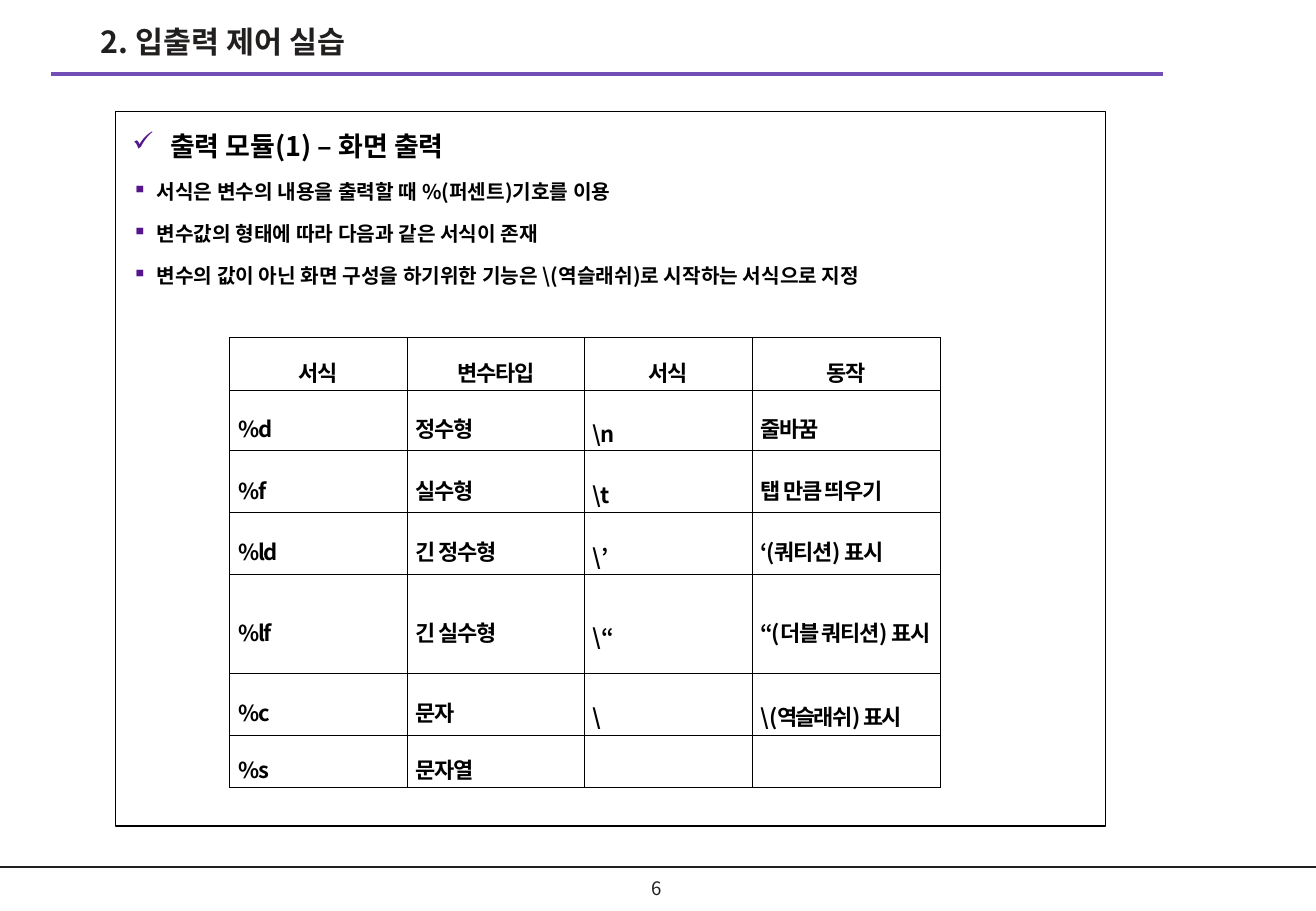
from dataclasses import dataclass

from lxml import etree
from pptx import Presentation
from pptx import util as u
from pptx.dml import color
from pptx.enum import shapes, text
from pptx.oxml import ns


@dataclass(frozen=True)
class Theme:
    """Colours, type face and type sizes of the slide."""
    face: str = "Noto Sans CJK KR"
    ink: str = "000000"
    dark: str = "221F1F"
    rule: str = "724FB7"
    mark: str = "54158D"
    title: int = 18
    head: int = 16
    body: int = 12
    cell: int = 13
    foot: int = 11


LOOK = Theme()
POINTS = [
    ("✓", "출력 모듈(1) – 화면 출력", LOOK.head, 0.31),
    ("▪", "서식은 변수의 내용을 출력할 때 %(퍼센트)기호를 이용", LOOK.body, 0.2),
    ("▪", "변수값의 형태에 따라 다음과 같은 서식이 존재", LOOK.body, 0.2),
    ("▪", "변수의 값이 아닌 화면 구성을 하기위한 기능은 \\(역슬래쉬)로 시작하는 서식으로 지정",
     LOOK.body, 0.2),
]
ROWS = [
    ("서식", "변수타입", "서식", "동작"),
    ("%d", "정수형", "\\n", "줄바꿈"),
    ("%f", "실수형", "\\t", "탭 만큼 띄우기"),
    ("%ld", "긴 정수형", "\\’", "‘(쿼티션) 표시"),
    ("%lf", "긴 실수형", "\\“", "“(더블 쿼티션) 표시"),
    ("%c", "문자", "\\", "\\(역슬래쉬) 표시"),
    ("%s", "문자열", "", ""),
]
WIDTHS = [1.46, 1.46, 1.38, 1.55]
HEIGHTS = [0.43, 0.5, 0.51, 0.51, 0.81, 0.51, 0.43]


def assign(item, values):
    """Set each named value on the item."""
    for name, value in values.items():
        setattr(item, name, value)


def margins(side, top):
    """Return the four margins as format values."""
    return {"margin_left": u.Inches(side), "margin_right": u.Inches(side),
            "margin_top": u.Inches(top), "margin_bottom": u.Inches(top)}


def node(parent, tag, **values):
    """Append a drawing element with the given attributes."""
    return etree.SubElement(parent, ns.qn("a:" + tag), values)


def tint(parent, shade):
    """Append a solid fill to an element."""
    node(node(parent, "solidFill"), "srgbClr", val=shade)


def write(para, words, size, shade, bold=True, track=None):
    """Add a formatted run to a paragraph."""
    run = para.add_run()
    run.text = words
    run.font.color.rgb = color.RGBColor.from_string(shade)
    assign(run.font, {"size": u.Pt(size), "bold": bold, "name": LOOK.face})
    props = run.font._element
    node(props, "ea", typeface=LOOK.face)
    if track is not None:
        props.set("spc", str(round(track * 100)))


def rule(slide, left, top, width, shade, weight):
    """Draw a level line across the slide."""
    line = slide.shapes.add_connector(
        shapes.MSO_CONNECTOR.STRAIGHT, u.Inches(left), u.Inches(top),
        u.Inches(left + width), u.Inches(top))
    line.line.color.rgb = color.RGBColor.from_string(shade)
    line.line.width = u.Pt(weight)
    node(line._element.spPr, "effectLst")


def header(slide, left, top, width):
    """Place the title and the rule below it."""
    rule(slide, left, top + 0.47, width, LOOK.rule, 2.25)
    title = slide.shapes.title
    assign(title, {"left": u.Inches(left + 0.31), "top": u.Inches(top),
                   "width": u.Inches(5.55), "height": u.Inches(0.48)})
    frame = title.text_frame
    assign(frame, {"vertical_anchor": text.MSO_ANCHOR.TOP, "word_wrap": True,
                   "auto_size": text.MSO_AUTO_SIZE.NONE, **margins(0.1, 0.05)})
    para = frame.paragraphs[0]
    para.alignment = text.PP_ALIGN.LEFT
    write(para, "2. 입출력 제어 실습", LOOK.title, LOOK.dark)


def footer(slide, top, width):
    """Place the bottom rule and the page number."""
    rule(slide, 0, top, width, LOOK.dark, 1)
    box = slide.shapes.add_textbox(
        u.Inches(5.1), u.Inches(top + 0.01), u.Inches(0.61), u.Inches(0.33))
    frame = box.text_frame
    assign(frame, {"vertical_anchor": text.MSO_ANCHOR.MIDDLE, "word_wrap": True})
    para = frame.paragraphs[0]
    para.alignment = text.PP_ALIGN.CENTER
    write(para, "6", LOOK.foot, LOOK.dark, bold=False)


def bullet(para, sign, indent):
    """Give a paragraph its spacing, indent and bullet sign."""
    assign(para, {"alignment": text.PP_ALIGN.LEFT, "line_spacing": 1.3})
    props = para._p.get_or_add_pPr()
    props.set("marL", str(u.Inches(indent)))
    props.set("indent", str(-u.Inches(indent)))
    node(node(props, "spcBef"), "spcPct", val="50000")
    node(node(props, "buClr"), "srgbClr", val=LOOK.mark)
    node(props, "buChar", char=sign)


def panel(slide, left, top, width, height):
    """Draw the framed list of points with the table inside."""
    box = slide.shapes.add_shape(
        shapes.MSO_SHAPE.RECTANGLE, u.Inches(left), u.Inches(top),
        u.Inches(width), u.Inches(height))
    box.shadow.inherit = False
    box.fill.background()
    box.line.color.rgb = color.RGBColor.from_string(LOOK.ink)
    box.line.width = u.Pt(0.75)
    frame = box.text_frame
    assign(frame, {"vertical_anchor": text.MSO_ANCHOR.TOP, "word_wrap": True,
                   **margins(0.14, 0.07)})
    for spot, (sign, words, size, indent) in enumerate(POINTS):
        para = frame.add_paragraph() if spot else frame.paragraphs[0]
        bullet(para, sign, indent)
        write(para, words, size, LOOK.ink)
    formats(slide, left + 0.94, top + 1.86)


def fill(cell, words, align):
    """Border a table cell and write its words."""
    assign(cell, {"vertical_anchor": text.MSO_ANCHOR.MIDDLE, **margins(0.07, 0.02)})
    props = cell._tc.get_or_add_tcPr()
    for side in ("lnL", "lnR", "lnT", "lnB"):
        tint(node(props, side, w=str(u.Pt(0.28))), LOOK.ink)
    cell.fill.background()
    para = cell.text_frame.paragraphs[0]
    para.font.size = u.Pt(LOOK.cell)
    slash = words.startswith("\\")
    assign(para, {"alignment": align, "line_spacing": 1.8 if slash else 1.5,
                  "space_after": u.Pt(0 if slash else 2.8)})
    parts = (words[:1], words[1:]) if slash else (words,)
    for spot, part in enumerate(parts):
        if part:
            tight = spot and not part.isascii()
            write(para, part, LOOK.cell, LOOK.ink, track=-1.1 if tight else -0.7)


def formats(slide, left, top):
    """Build the table of format signs."""
    table = slide.shapes.add_table(
        len(ROWS), len(WIDTHS), u.Inches(left), u.Inches(top),
        u.Inches(sum(WIDTHS)), u.Inches(sum(HEIGHTS))).table
    assign(table, {"first_row": False, "horz_banding": False})
    for column, width in zip(table.columns, WIDTHS):
        column.width = u.Inches(width)
    for spot, (row, height, words) in enumerate(zip(table.rows, HEIGHTS, ROWS)):
        row.height = u.Inches(height)
        align = text.PP_ALIGN.JUSTIFY if spot else text.PP_ALIGN.CENTER
        for cell, word in zip(row.cells, words):
            fill(cell, word, align)


def main():
    """Build the slide and save it."""
    deck = Presentation()
    assign(deck, {"slide_width": u.Inches(10.83), "slide_height": u.Inches(7.5)})
    slide = deck.slides.add_slide(deck.slide_layouts[5])
    footer(slide, 7.14, 10.83)
    header(slide, 0.42, 0.14, 9.15)
    panel(slide, 0.95, 0.92, 8.15, 5.88)
    deck.save("out.pptx")


if __name__ == "__main__":
    main()
